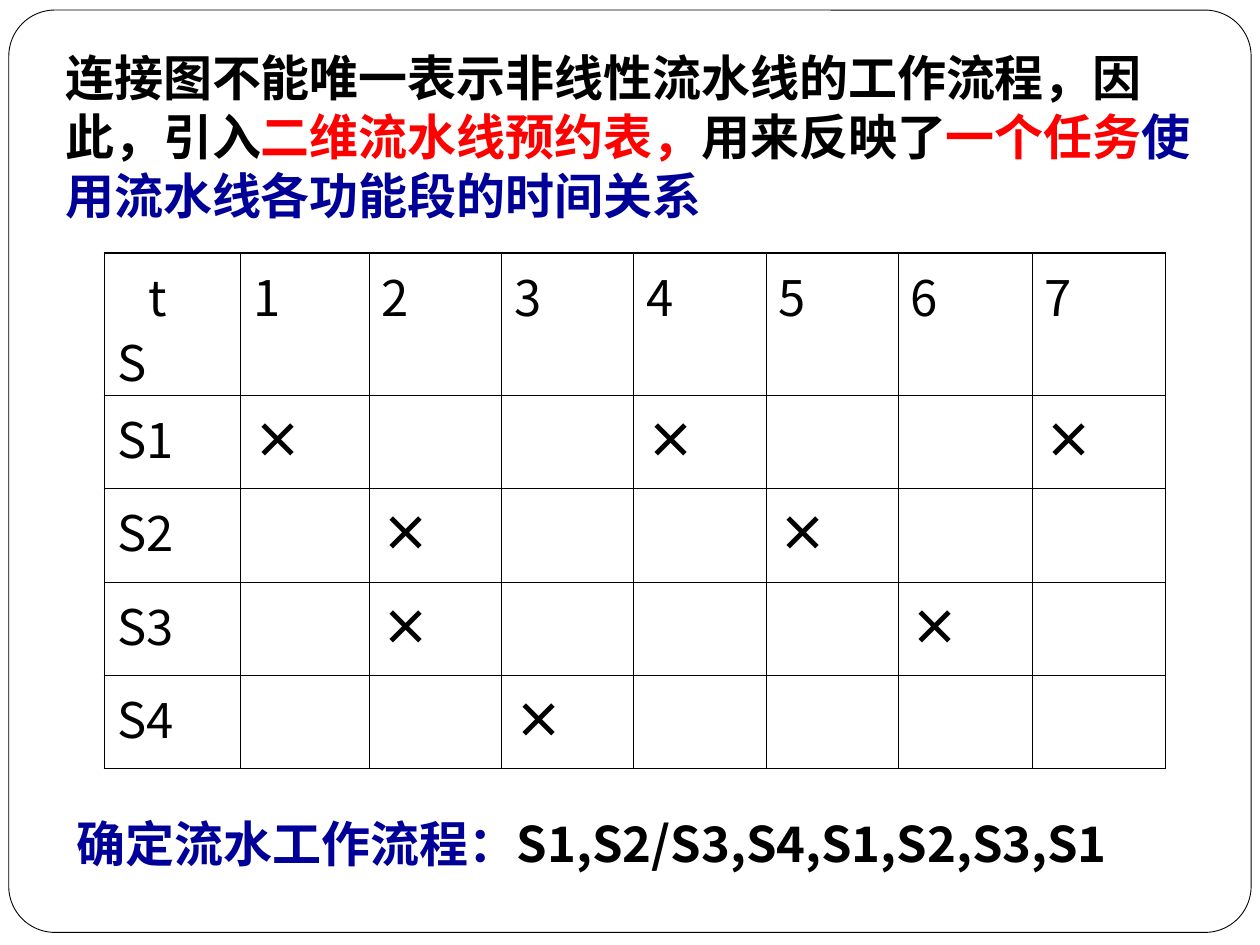
from lxml.etree import SubElement
from pptx import Presentation
from pptx.dml.color import RGBColor
from pptx.enum.shapes import MSO_SHAPE
from pptx.oxml.ns import qn
from pptx.util import Inches, Pt

BLACK = RGBColor(0x00, 0x00, 0x00)
WHITE = RGBColor(0xFF, 0xFF, 0xFF)
RED = RGBColor(0xFF, 0x00, 0x00)
NAVY = RGBColor(0x00, 0x00, 0x99)
FONT = "Noto Sans CJK SC"
TEXT_SIZE = Pt(28)
THIN, THICK = 0.45, 1.08

INTRODUCTION = [
    ("连接图不能唯一表示非线性流水线的工作流程，因此，引入", BLACK),
    ("二维流水线预约表，", RED),
    ("用来反映了", BLACK),
    ("一个任务", RED),
    ("使用流水线各功能段的时间关系", NAVY),
]
CONCLUSION = [("确定流水工作流程：", NAVY), ("S1,S2/S3,S4,S1,S2,S3,S1", BLACK)]
RESERVATIONS = {"S1": (1, 4, 7), "S2": (2, 5), "S3": (2, 6), "S4": (3,)}
TIME_STEPS = 7
COLUMN_WIDTHS = [1.08, 1.02] + [1.05] * 4 + [1.06] * 2
ROW_HEIGHTS = [1.13] + [0.74] * 4


def style_run(run, color=BLACK, bold=False):
    run.font.size = TEXT_SIZE
    run.font.bold = bold
    run.font.color.rgb = color
    run.font.name = FONT
    SubElement(run.font._element, qn("a:ea"), typeface=FONT)


def add_frame(slide):
    frame = slide.shapes.add_shape(MSO_SHAPE.ROUNDED_RECTANGLE, Inches(0.07),
                                   Inches(0.08), Inches(9.86), Inches(7.32))
    frame.adjustments[0] = 0.05
    frame.shadow.inherit = False
    frame.fill.solid()
    frame.fill.fore_color.rgb = WHITE
    frame.line.color.rgb = BLACK
    frame.line.width = Pt(0.5)


def add_statement(slide, left, top, width, height, pieces):
    """Add a bold paragraph made of (text, color) pieces."""
    box = slide.shapes.add_textbox(Inches(left), Inches(top), Inches(width), Inches(height))
    text_frame = box.text_frame
    text_frame.word_wrap = True
    paragraph = text_frame.paragraphs[0]
    paragraph._p.get_or_add_pPr().set("hangingPunct", "0")
    for text, color in pieces:
        run = paragraph.add_run()
        run.text = text
        style_run(run, color, bold=True)


def set_borders(cell, widths):
    """Draw the left, right, top and bottom borders in the given point widths."""
    properties = cell._tc.get_or_add_tcPr()
    for position, (side, width) in enumerate(zip("LRTB", widths)):
        line = properties.makeelement(qn(f"a:ln{side}"), {"w": str(int(Pt(width)))})
        fill = SubElement(line, qn("a:solidFill"))
        SubElement(fill, qn("a:srgbClr"), val=str(BLACK))
        properties.insert(position, line)


def fill_cell(cell, text, bold=False):
    cell.text_frame.text = text
    for paragraph in cell.text_frame.paragraphs:
        for run in paragraph.runs:
            style_run(run, bold=bold)


def format_corner(cell):
    """Set the time label to the right of the stage label below it."""
    cell.margin_bottom = 0
    time_label, stage_label = cell.text_frame.paragraphs
    time_label._p.get_or_add_pPr().set("marL", str(Inches(0.25)))
    stage_label.line_spacing = 0.9


def add_reservation_table(slide):
    rows, columns = len(ROW_HEIGHTS), len(COLUMN_WIDTHS)
    table = slide.shapes.add_table(rows, columns, Inches(0.83), Inches(2.01),
                                   Inches(8.42), Inches(4.08)).table
    table.first_row = False
    table.horz_banding = False
    for column, width in zip(table.columns, COLUMN_WIDTHS):
        column.width = Inches(width)
    for row, height in zip(table.rows, ROW_HEIGHTS):
        row.height = Inches(height)

    for row in range(rows):
        for column in range(columns):
            cell = table.cell(row, column)
            cell.fill.background()
            on_edge = (column == 0, column == columns - 1, row == 0, row == rows - 1)
            set_borders(cell, [THICK if edge else THIN for edge in on_edge])

    fill_cell(table.cell(0, 0), "t\nS")
    format_corner(table.cell(0, 0))
    for step in range(1, TIME_STEPS + 1):
        fill_cell(table.cell(0, step), str(step))
    for row, (stage, steps) in enumerate(RESERVATIONS.items(), start=1):
        fill_cell(table.cell(row, 0), stage)
        for step in steps:
            fill_cell(table.cell(row, step), "×", bold=True)


def main():
    presentation = Presentation()
    presentation.slide_width = Inches(10)
    presentation.slide_height = Inches(7.5)
    slide = presentation.slides.add_slide(presentation.slide_layouts[6])
    add_frame(slide)
    add_statement(slide, 0.42, 0.33, 9.33, 2.16, INTRODUCTION)
    add_reservation_table(slide)
    add_statement(slide, 0.51, 6.41, 8.98, 0.57, CONCLUSION)
    presentation.save("out.pptx")


if __name__ == "__main__":
    main()
